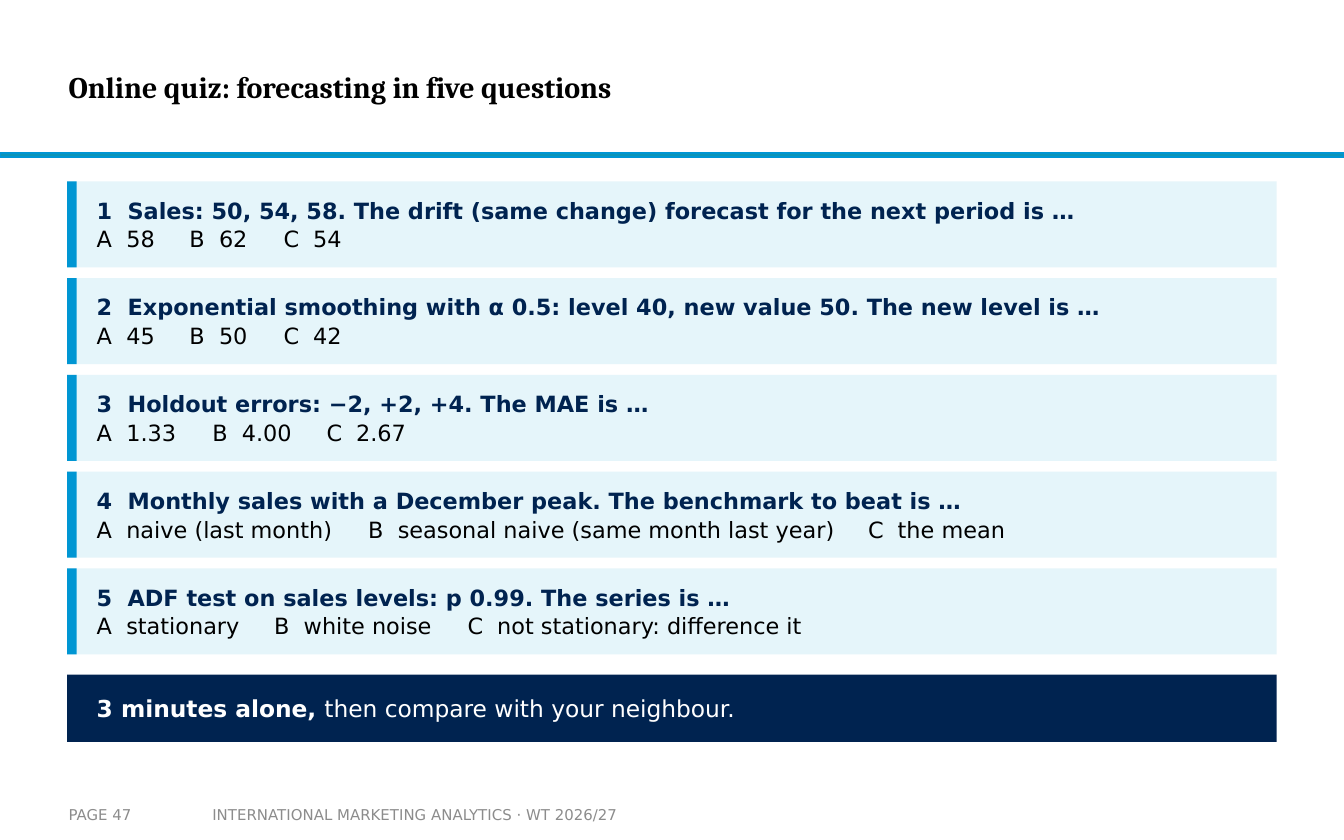
from lxml import etree
from pptx import Presentation
from pptx.dml.color import RGBColor
from pptx.enum.shapes import MSO_SHAPE
from pptx.enum.text import MSO_ANCHOR
from pptx.oxml.ns import qn
from pptx.util import Inches, Pt

RECT = MSO_SHAPE.RECTANGLE
MIDDLE = MSO_ANCHOR.MIDDLE

WIDTH, HEIGHT = 10, 6.25
LEFT, CARD_W, CARD_H = 0.5, 9, 0.64
TEXT_LEFT, TEXT_W = 0.72, 8.7
TOP, PITCH = 1.35, 0.72
LABEL_W = 0.22

BLUE, NAVY, PALE = "0096D3", "002350", "E5F5FA"
BLACK, WHITE, GREY = "000000", "FFFFFF", "8C8C8C"
SANS, SERIF = "DejaVu Sans", "Cambria"

# question, answers, tab positions of answers B and C
QUIZ = [
    ("Sales: 50, 54, 58. The drift (same change) forecast for the next period is …",
     ("58", "62", "54"), (0.69, 1.39)),
    ("Exponential smoothing with α 0.5: level 40, new value 50. The new level is …",
     ("45", "50", "42"), (0.69, 1.39)),
    ("Holdout errors: −2, +2, +4. The MAE is …",
     ("1.33", "4.00", "2.67"), (0.86, 1.71)),
    ("Monthly sales with a December peak. The benchmark to beat is …",
     ("naive (last month)", "seasonal naive (same month last year)", "the mean"),
     (2.02, 5.74)),
    ("ADF test on sales levels: p 0.99. The series is …",
     ("stationary", "white noise", "not stationary: difference it"), (1.32, 2.76)),
]


def rgb(value):
    return RGBColor.from_string(value)


def add_bar(slide, x, y, w, h, fill, line=None):
    sp = slide.shapes.add_shape(RECT, Inches(x), Inches(y), Inches(w), Inches(h))
    sp.shadow.inherit = False
    sp.fill.solid()
    sp.fill.fore_color.rgb = rgb(fill)
    if line:
        sp.line.color.rgb = rgb(line)
        sp.line.width = Pt(1)
    else:
        sp.line.fill.background()


def add_text_frame(slide, x, y, w, h):
    """Add a vertically centred text box without insets."""
    tf = slide.shapes.add_textbox(Inches(x), Inches(y), Inches(w), Inches(h)).text_frame
    tf.word_wrap = True
    tf.vertical_anchor = MIDDLE
    tf.margin_left = tf.margin_right = tf.margin_top = tf.margin_bottom = 0
    return tf


def set_tabs(p, stops):
    tabs = etree.SubElement(p._p.get_or_add_pPr(), qn("a:tabLst"))
    for stop in stops:
        etree.SubElement(tabs, qn("a:tab"), pos=str(Inches(stop)), algn="l")


def style(p, size, color, bold=False, font=SANS):
    p.font.size = Pt(size)
    p.font.name = font
    p.font.bold = bold
    p.font.color.rgb = rgb(color)


def add_line(slide, text, box, *look):
    p = add_text_frame(slide, *box).paragraphs[0]
    p.text = text
    style(p, *look)


def add_question(slide, number, question, answers, starts):
    y = TOP + (number - 1) * PITCH
    add_bar(slide, LEFT, y, CARD_W, CARD_H, PALE)
    add_bar(slide, LEFT, y, 0.07, CARD_H, BLUE)
    tf = add_text_frame(slide, TEXT_LEFT, y, TEXT_W, CARD_H)

    p = tf.paragraphs[0]
    p.text = f"{number}\t{question}"
    set_tabs(p, [0.23])
    p.space_after = Pt(1)
    style(p, 12, NAVY, True)

    p = tf.add_paragraph()
    p.text = "\t".join(f"{letter}\t{answer}" for letter, answer in zip("ABC", answers))
    b, c = starts
    set_tabs(p, [LABEL_W, b, b + LABEL_W, c, c + LABEL_W])
    p.space_after = Pt(1)
    style(p, 12, BLACK)


def add_task(slide):
    y, h = 5.02, 0.5
    add_bar(slide, LEFT, y, CARD_W, h, NAVY)
    p = add_text_frame(slide, TEXT_LEFT, y, TEXT_W, h).paragraphs[0]
    style(p, 12.5, WHITE)
    r = p.add_run()
    r.text = "3 minutes alone, "
    r.font.bold = True
    p.add_run().text = "then compare with your neighbour."


def main():
    prs = Presentation()
    prs.slide_width, prs.slide_height = Inches(WIDTH), Inches(HEIGHT)
    slide = prs.slides.add_slide(prs.slide_layouts[6])

    add_bar(slide, 0, 1.14, WIDTH, 0.03, "0C94B7", BLUE)
    add_line(slide, "Online quiz: forecasting in five questions",
             (0.51, 0.15, 7.48, 0.99), 16, BLACK, True, SERIF)
    add_line(slide, "INTERNATIONAL MARKETING ANALYTICS\u00a0·\u00a0WT\u00a02026/27",
             (1.58, 5.92, 3.42, 0.28), 8, GREY)
    add_line(slide, "PAGE 47", (0.51, 5.92, 0.98, 0.28), 8, GREY)
    for number, item in enumerate(QUIZ, 1):
        add_question(slide, number, *item)
    add_task(slide)

    prs.save("out.pptx")


if __name__ == "__main__":
    main()
